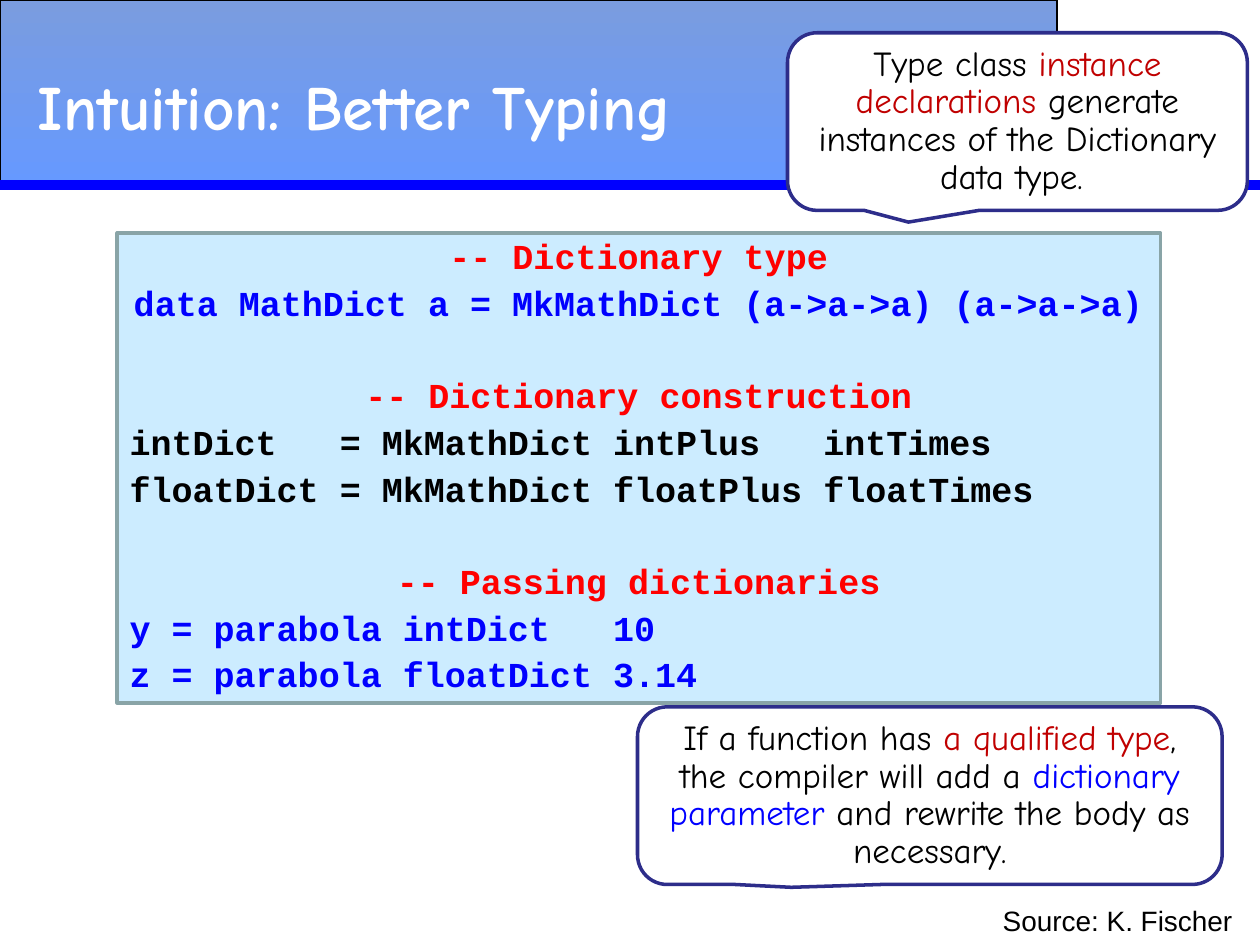
from lxml import etree
from pptx import Presentation
from pptx.dml.color import RGBColor
from pptx.enum.shapes import MSO_CONNECTOR, MSO_SHAPE
from pptx.enum.text import MSO_ANCHOR, PP_ALIGN
from pptx.oxml.ns import qn
from pptx.util import Inches, Pt

RECTANGLE = MSO_SHAPE.RECTANGLE
CALLOUT = MSO_SHAPE.ROUNDED_RECTANGULAR_CALLOUT
STRAIGHT = MSO_CONNECTOR.STRAIGHT
TOP, MIDDLE = MSO_ANCHOR.TOP, MSO_ANCHOR.MIDDLE
LEFT, CENTER = PP_ALIGN.LEFT, PP_ALIGN.CENTER

BLACK = RGBColor(0x00, 0x00, 0x00)
WHITE = RGBColor(0xFF, 0xFF, 0xFF)
BLUE = RGBColor(0x00, 0x00, 0xFF)
RED = RGBColor(0xFF, 0x00, 0x00)
DARK_RED = RGBColor(0xC0, 0x00, 0x00)
NAVY = RGBColor(0x2D, 0x2D, 0x8A)
BAND_TOP = RGBColor(0x7A, 0x9C, 0xDF)
BAND_BOTTOM = RGBColor(0x66, 0x99, 0xFF)
CODE_FILL = RGBColor(0xCC, 0xEC, 0xFF)
CODE_EDGE = RGBColor(0x89, 0xA4, 0xA7)

LINE_GAP = 5
SECTION_GAP = 31.5


def write(para, spans, font="Comic Neue", size=20, bold=False, align=CENTER,
          before=0, spacing=0.9):
    para.alignment = align
    para.line_spacing = spacing
    para.space_before = Pt(before)
    for text, color in spans:
        span = para.add_run()
        span.text = text
        span.font.name = font
        span.font.size = Pt(size)
        span.font.bold = bold
        span.font.color.rgb = color


def add_box(kind, place, fill, edge, width, anchor):
    box = page.shapes.add_shape(kind, *map(Inches, place))
    box.shadow.inherit = False
    box.fill.solid()
    box.fill.fore_color.rgb = fill
    box.line.color.rgb = edge
    box.line.width = Pt(width)
    box.text_frame.word_wrap = True
    box.text_frame.vertical_anchor = anchor
    return box


deck = Presentation()
deck.slide_width = Inches(10)
deck.slide_height = Inches(7.5)
page = deck.slides.add_slide(deck.slide_layouts[5])

band = add_box(RECTANGLE, (0, 0, 8.39, 1.47), BAND_TOP, BLACK, 0.75, MIDDLE)
band.fill.gradient()
band.fill.gradient_angle = 270
for stop, color in zip(band.fill.gradient_stops, (BAND_TOP, BAND_BOTTOM)):
    stop.color.rgb = color

rule = page.shapes.add_connector(STRAIGHT, 0, Inches(1.47), Inches(10), Inches(1.47))
rule.line.color.rgb = BLUE
rule.line.width = Pt(6)
etree.SubElement(rule.element.spPr, qn("a:effectLst"))

title = page.shapes.title
title.element.getparent().append(title.element)
title.left, title.top = Inches(0.2), Inches(0.21)
title.width, title.height = Inches(6.33), Inches(1.25)
title.text_frame.vertical_anchor = MIDDLE
write(title.text_frame.paragraphs[0], [("Intuition: Better Typing", WHITE)],
      size=36, bold=True, align=LEFT, spacing=1.0)

code = add_box(RECTANGLE, (0.93, 1.85, 8.28, 3.73), CODE_FILL, CODE_EDGE, 2, TOP)
code_lines = [
    ("-- Dictionary type", RED, CENTER, 0),
    ("data MathDict a = MkMathDict (a->a->a) (a->a->a)", BLUE, CENTER, LINE_GAP),
    ("-- Dictionary construction", RED, CENTER, SECTION_GAP),
    ("intDict   = MkMathDict intPlus   intTimes", BLACK, LEFT, LINE_GAP),
    ("floatDict = MkMathDict floatPlus floatTimes", BLACK, LEFT, LINE_GAP),
    ("-- Passing dictionaries", RED, CENTER, SECTION_GAP),
    ("y = parabola intDict   10", BLUE, LEFT, LINE_GAP),
    ("z = parabola floatDict 3.14", BLUE, LEFT, LINE_GAP),
]
for number, (text, color, align, before) in enumerate(code_lines):
    frame = code.text_frame
    para = frame.add_paragraph() if number else frame.paragraphs[0]
    write(para, [(text, color)], font="Courier New", bold=True,
          align=align, before=before)

callouts = [
    ((6.25, 0.26, 3.65, 1.41), 0.566, [
        ("Type class ", BLACK),
        ("instance declarations ", DARK_RED),
        ("generate instances of the Dictionary data type. ", BLACK),
    ]),
    ((5.06, 5.61, 4.64, 1.41), 0.516, [
        ("If a function has ", BLACK),
        ("a qualified type", DARK_RED),
        (", the compiler will add a ", BLACK),
        ("dictionary parameter ", BLUE),
        ("and rewrite the body as necessary.", BLACK),
    ]),
]
for place, tip, spans in callouts:
    callout = add_box(CALLOUT, place, WHITE, NAVY, 2, MIDDLE)
    callout.adjustments[0] = -0.237
    callout.adjustments[1] = tip
    callout.adjustments[2] = 0.167
    write(callout.text_frame.paragraphs[0], spans)

source = page.shapes.add_textbox(Inches(7.86), Inches(7.15), Inches(2.02), Inches(0.34))
source.text_frame.word_wrap = False
write(source.text_frame.paragraphs[0], [("Source: K. Fischer", BLACK)],
      font="Arial", size=16)

deck.save("out.pptx")
